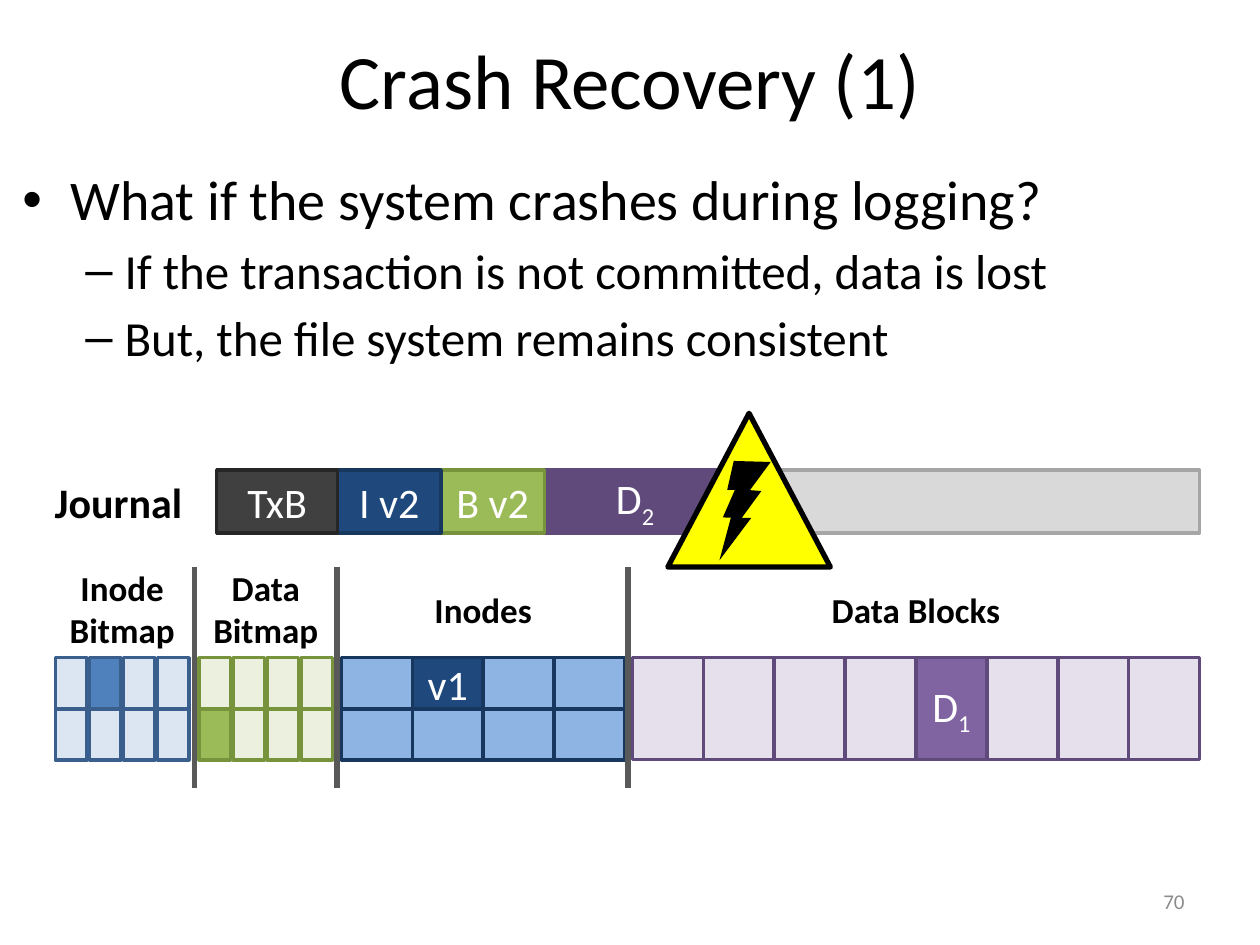
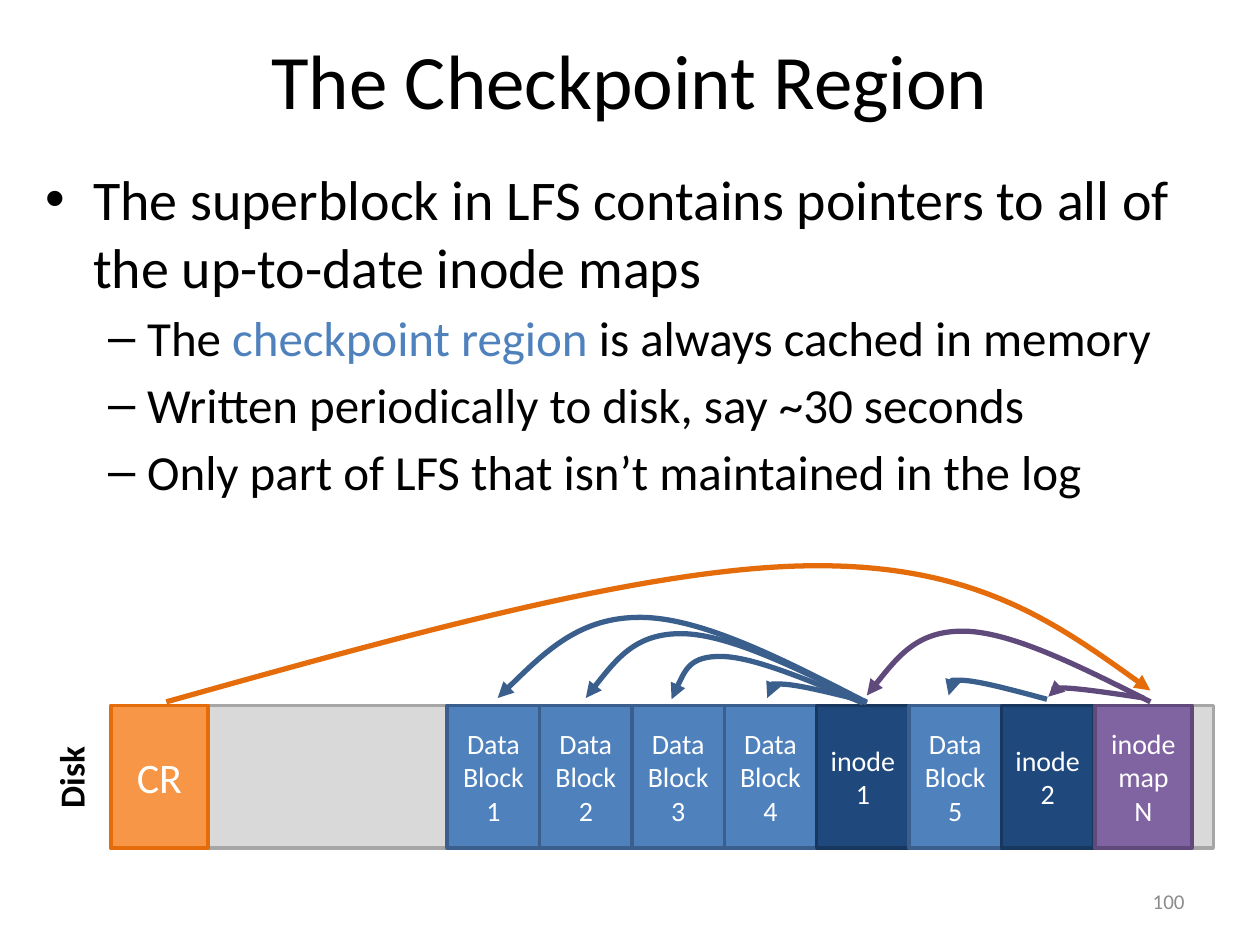
from collections import namedtuple

from lxml import etree
from pptx import Presentation
from pptx.dml.color import RGBColor
from pptx.enum.shapes import MSO_CONNECTOR as Connector, MSO_SHAPE as Preset
from pptx.enum.text import MSO_ANCHOR as Anchor, PP_ALIGN as Align
from pptx.oxml.ns import qn
from pptx.util import Inches, Pt

# The slide is a grid of 100 columns by 75 rows; boxes are given in those units.
WIDTH, HEIGHT = Inches(10), Inches(7.5)
UNIT = WIDTH / 100
FONT = "Calibri"

BLACK, WHITE, YELLOW = "000000", "FFFFFF", "FFFF00"
NUMBER_GRAY, RULE_GRAY = "8C8C8C", "595959"
BLUE, BLUE_EDGE, BLUE_PALE = "4F81BD", "3A5F8C", "DCE6F2"
NAVY, NAVY_EDGE, SKY = "1F497D", "17375E", "8EB4E3"
GREEN, GREEN_EDGE, GREEN_PALE = "9BBB59", "77933C", "EBF1DE"
PURPLE, PURPLE_EDGE, PURPLE_PALE = "8064A2", "604A7B", "E6E0EC"
ORANGE, ORANGE_EDGE = "F79646", "E46C0A"
SILVER, SILVER_EDGE = "D9D9D9", "A6A6A6"
CHARCOAL, CHARCOAL_EDGE = "404040", "262626"

Box = namedtuple("Box", "left top width height")
SUBSCRIPT = {"baseline": -25000}


def emu(*lengths):
    return [round(length * UNIT) for length in lengths]


def inside(box, left, top, width, height):
    """Box placed by offsets from the corner of another box."""
    return Box(box.left + left, box.top + top, width, height)


def color(hex_string):
    return RGBColor.from_string(hex_string)


def write_runs(paragraph, runs, size, ink, bold):
    for text, changes in runs:
        run = paragraph.add_run()
        run.text = text
        run.font.name = FONT
        run.font.size = Pt(size)
        run.font.bold = bold
        run.font.color.rgb = color(changes.get("ink", ink))
        if "baseline" in changes:
            run._r.get_or_add_rPr().set("baseline", str(changes["baseline"]))


def write(shape, text, size=24, ink=WHITE, bold=False, align=Align.CENTER,
          anchor=Anchor.MIDDLE, wrap=True):
    """Text is a string with line breaks between paragraphs, or a list of runs."""
    frame = shape.text_frame
    frame.word_wrap = wrap
    frame.vertical_anchor = anchor
    lines = [[(line, {})] for line in text.split("\n")] if isinstance(text, str) else [text]
    for index, runs in enumerate(lines):
        paragraph = frame.add_paragraph() if index else frame.paragraphs[0]
        paragraph.alignment = align
        write_runs(paragraph, runs, size, ink, bold)
    return shape


def add_text(slide, box, text, **text_format):
    return write(slide.shapes.add_textbox(*emu(*box)), text, **text_format)


def add_label(slide, box, text, size=20):
    return add_text(slide, box, text, size=size, ink=BLACK, bold=True,
                    anchor=Anchor.TOP, wrap=False)


def add_block(slide, box, fill, edge=None, text=None, preset=Preset.RECTANGLE,
              weight=2, **text_format):
    shape = slide.shapes.add_shape(preset, *emu(*box))
    shape.shadow.inherit = False
    shape.fill.solid()
    shape.fill.fore_color.rgb = color(fill)
    if edge:
        shape.line.color.rgb = color(edge)
        shape.line.width = Pt(weight)
    else:
        shape.line.fill.background()
    if text:
        write(shape, text, **text_format)
    return shape


def add_rule(slide, x, top, bottom):
    line = slide.shapes.add_connector(Connector.STRAIGHT, *emu(x, top, x, bottom))
    line.line.color.rgb = color(RULE_GRAY)
    line.line.width = Pt(3)
    etree.SubElement(line._element.spPr, qn("a:effectLst"))


def add_arc(slide, start, peak, end, ink):
    """Arrow of two Bezier halves whose tangent at the peak runs along the chord."""
    def middle(a, b):
        return (a[0] + b[0]) / 2, (a[1] + b[1]) / 2

    reach = [(a - b) / 6 for a, b in zip(start, end)]
    before = peak[0] + reach[0], peak[1] + reach[1]
    after = peak[0] - reach[0], peak[1] - reach[1]
    vertices = [middle(start, before), before, peak, after, middle(after, end), end]

    builder = slide.shapes.build_freeform(*emu(*start))
    builder.add_line_segments([emu(*vertex) for vertex in vertices], close=False)
    arc = builder.convert_to_shape()
    arc.shadow.inherit = False
    arc.fill.background()
    arc.line.color.rgb = color(ink)
    arc.line.width = Pt(3)
    etree.SubElement(arc.line._get_or_add_ln(), qn("a:tailEnd"), type="triangle")

    outline = next(arc._element.iter(qn("a:path")))
    segments = outline.findall(qn("a:lnTo"))
    for index in range(0, len(segments), 3):
        curve = etree.SubElement(outline, qn("a:cubicBezTo"))
        for segment in segments[index:index + 3]:
            curve.append(segment[0])
            outline.remove(segment)


def add_bullets(slide, box, items):
    """Items are (level, runs)."""
    styles = [(32, 0.38, -0.38, "•"), (28, 0.81, -0.31, "–")]
    frame = slide.shapes.add_textbox(*emu(*box)).text_frame
    frame.word_wrap = True
    for index, (level, runs) in enumerate(items):
        size, margin, indent, mark = styles[level]
        paragraph = frame.add_paragraph() if index else frame.paragraphs[0]
        paragraph.level = level
        properties = paragraph._p.get_or_add_pPr()
        properties.set("marL", str(Inches(margin)))
        properties.set("indent", str(Inches(indent)))
        etree.SubElement(properties, qn("a:buFont"), typeface="Arial")
        etree.SubElement(properties, qn("a:buChar"), char=mark)
        if index:
            paragraph.space_before = Pt(4.6)
        write_runs(paragraph, runs, size, BLACK, False)


def add_page(presentation, title, number):
    slide = presentation.slides.add_slide(presentation.slide_layouts[6])
    add_text(slide, Box(5, 0, 90, 12.5), title, size=44, ink=BLACK)
    add_text(slide, Box(71.7, 69.5, 23.3, 4), str(number), size=12,
             ink=NUMBER_GRAY, align=Align.RIGHT)
    return slide


def add_journal(slide, box):
    add_block(slide, box, SILVER, SILVER_EDGE)
    records = [
        (26, 14.4, PURPLE_EDGE, PURPLE_EDGE, [("D", {}), ("2", SUBSCRIPT)]),
        (17.8, 8.2, GREEN, GREEN_EDGE, "B v2"),
        (9.6, 8.2, NAVY, NAVY_EDGE, "I v2"),
        (0, 9.6, CHARCOAL, CHARCOAL_EDGE, "TxB"),
    ]
    for left, width, fill, edge, text in records:
        add_block(slide, inside(box, left, 0, width, box.height), fill, edge, text)
    add_label(slide, inside(box, -13.9, 0, 12.2, box.height), "Journal", size=24)


def add_cells(slide, box, columns, rows, gap, fill, edge, marked, mark_fill, mark_text=None):
    """Grid of cells with one marked cell, given as (column, row)."""
    column_step = (box.width + gap) / columns
    row_step = box.height / rows
    for row in range(rows):
        for column in range(columns):
            is_marked = (column, row) == marked
            cell = inside(box, column * column_step, row * row_step,
                          column_step - gap, row_step)
            add_block(slide, cell, mark_fill if is_marked else fill, edge,
                      mark_text if is_marked else None)


def add_disk_layout(slide, box):
    regions = [
        ("Inode\nBitmap", 0, 10.6, (4, 2, 0.2, BLUE_PALE, BLUE_EDGE, (1, 0), BLUE)),
        ("Data\nBitmap", 11.4, 10.6, (4, 2, 0.2, GREEN_PALE, GREEN_EDGE, (0, 1), GREEN)),
        ("Inodes", 22.7, 22.5, (4, 2, 0, SKY, NAVY_EDGE, (1, 0), NAVY, "v1")),
        ("Data Blocks", 45.8, 45, (8, 1, 0, PURPLE_PALE, PURPLE_EDGE, (4, 0), PURPLE,
                                   [("D", {}), ("1", SUBSCRIPT)])),
    ]
    for name, left, width, cells in regions:
        add_cells(slide, inside(box, left, 0, width, box.height), *cells)
        label_top, label_height = (-7.7, 7.7) if "\n" in name else (-6, 4.4)
        add_label(slide, inside(box, left, label_top, width, label_height), name)
    for _, left, _, _ in regions[1:]:
        add_rule(slide, box.left + left - 0.35, box.top - 7.2, box.top + box.height + 2.2)


def add_crash_sign(slide, box):
    add_block(slide, box, YELLOW, BLACK, preset=Preset.ISOSCELES_TRIANGLE, weight=3)
    bolt = add_block(slide, inside(box, 2.5, 3.8, 6.8, 6.8), BLACK,
                     preset=Preset.LIGHTNING_BOLT)
    bolt.rotation = 336.9
    bolt._element.spPr.xfrm.set("flipH", "1")


def add_log(slide, box):
    add_block(slide, box, SILVER, SILVER_EDGE)
    label = add_label(slide, inside(box, -10.3, 3.5, 14.3, 4.4), "Disk")
    label.rotation = 270

    step = 7.33
    entries = ["Data Block 1", "Data Block 2", "Data Block 3", "Data Block 4",
               "inode\n1", "Data Block 5", "inode\n2"]
    for index, entry in enumerate(entries):
        fill, edge = (NAVY, NAVY_EDGE) if "inode" in entry else (BLUE, BLUE_EDGE)
        add_block(slide, inside(box, 26.7 + index * step, 0, step, box.height),
                  fill, edge, entry, size=16)
    add_block(slide, inside(box, 78.1, 0, 7.7, box.height), PURPLE, PURPLE_EDGE,
              "inode\nmap\nN", size=16)
    add_block(slide, inside(box, 0, 0, 7.7, box.height), ORANGE, ORANGE_EDGE, "CR")


def add_pointers(slide, box):
    """Arcs above the log, each as start, peak and end: offset and rise."""
    pointers = [
        (BLUE_EDGE, (59.9, 0.3), (42.1, 7), (30.7, 0.6)),
        (BLUE_EDGE, (60, 0.2), (45.4, 5.7), (37.7, 0.6)),
        (BLUE_EDGE, (59.7, 0.2), (48.5, 3.9), (44.5, 0.5)),
        (BLUE_EDGE, (60, 0.3), (53.3, 1.7), (52.1, 0.6)),
        (BLUE_EDGE, (74.3, 0.5), (67.6, 2), (66.5, 0.8)),
        (PURPLE_EDGE, (82, 0.6), (75.5, 1.4), (74.4, 0.7)),
        (PURPLE_EDGE, (82.5, 0.3), (67.8, 5.9), (60, 0.8)),
        (ORANGE_EDGE, (4.4, 0.3), (55.5, 11.1), (82.5, 1.2)),
    ]
    for ink, *points in pointers:
        add_arc(slide, *[(box.left + x, box.top - rise) for x, rise in points], ink)


def build_crash_recovery(presentation):
    slide = add_page(presentation, "Crash Recovery (1)", 70)
    add_bullets(slide, Box(0.8, 12.6, 98.5, 19.9), [
        (0, [("What if the system crashes during logging?", {})]),
        (1, [("If the transaction is not committed, data is lost", {})]),
        (1, [("But, the file system remains consistent", {})]),
    ])
    add_journal(slide, Box(17.2, 37.3, 78, 5))
    add_disk_layout(slide, Box(4.4, 52.2, 90.8, 8.1))
    add_crash_sign(slide, Box(53, 32.8, 12.9, 12.2))


def build_checkpoint_region(presentation):
    slide = add_page(presentation, "The Checkpoint Region", 100)
    add_bullets(slide, Box(2.6, 12.6, 94.9, 30.4), [
        (0, [("The superblock in LFS contains pointers to all of the up-to-date inode maps", {})]),
        (1, [("The ", {}), ("checkpoint region ", {"ink": BLUE}),
             ("is always cached in memory", {})]),
        (1, [("Written periodically to disk, say ~30 seconds", {})]),
        (1, [("Only part of LFS that isn’t maintained in the log", {})]),
    ])
    disk = Box(8.8, 56, 87.5, 11.3)
    add_log(slide, disk)
    add_pointers(slide, disk)


def main():
    presentation = Presentation()
    presentation.slide_width, presentation.slide_height = WIDTH, HEIGHT
    build_crash_recovery(presentation)
    build_checkpoint_region(presentation)
    presentation.save("out.pptx")


if __name__ == "__main__":
    main()
